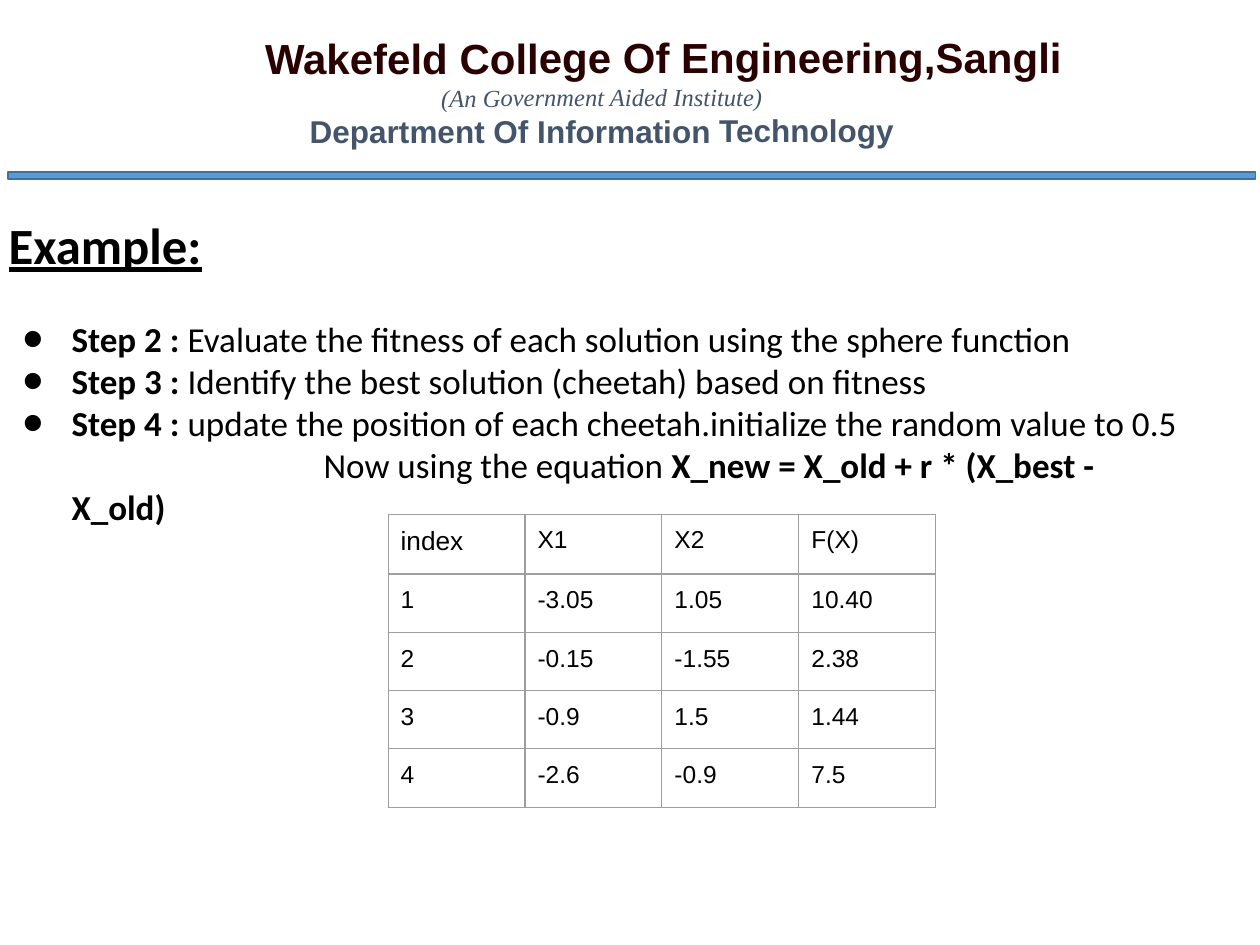
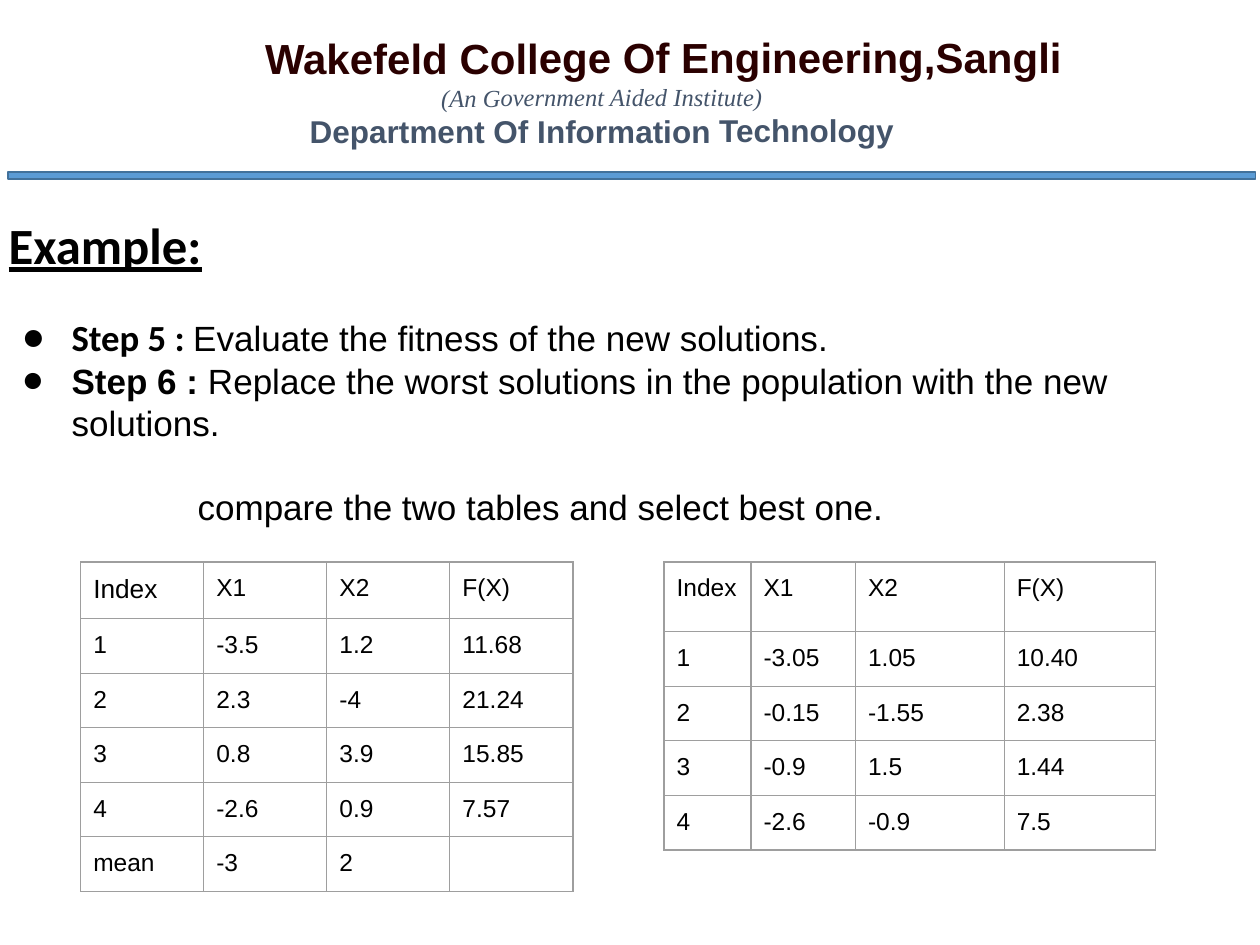
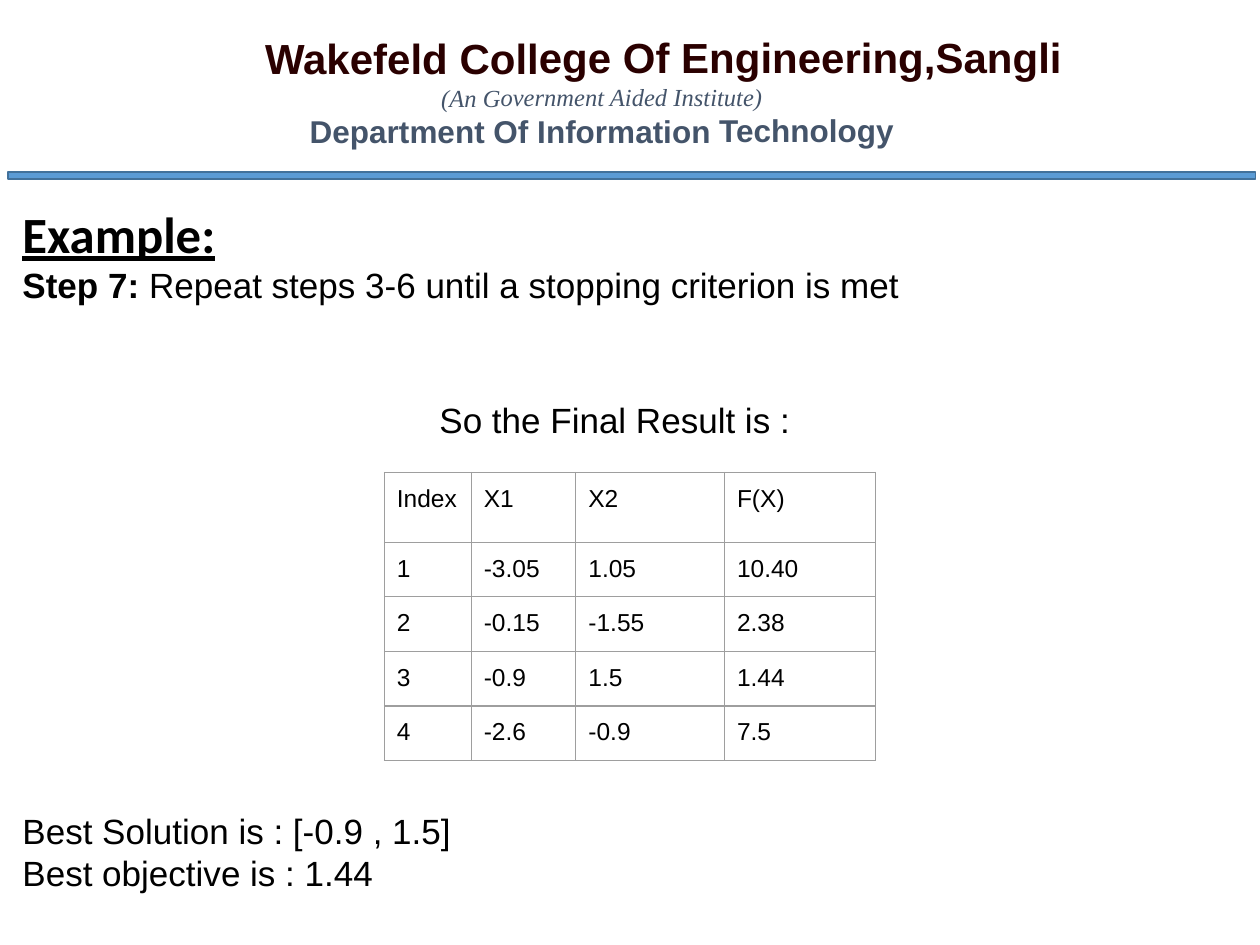
from dataclasses import dataclass, replace

from lxml.etree import SubElement
from pptx import Presentation
from pptx.dml.color import RGBColor
from pptx.enum.shapes import MSO_SHAPE as Preset
from pptx.enum.text import MSO_ANCHOR as Anchor, MSO_AUTO_SIZE as AutoSize, PP_ALIGN as Align
from pptx.oxml.ns import qn
from pptx.util import Inches, Pt

SLIDE_WIDTH, SLIDE_HEIGHT = Inches(10), Inches(7.5)
TITLE_ONLY = 5
BLACK, MAROON, SLATE = "000000", "2A0000", "44546A"
BAND, BAND_EDGE, GRID_LINE = "5B9BD5", "42719B", "9E9E9E"
BODY_LINE = 24


@dataclass(frozen=True)
class Area:
    """A place on a grid of 100 columns by 100 rows."""
    left: float
    top: float
    width: float
    height: float


@dataclass(frozen=True)
class Span:
    text: str
    font: str = "Calibri"
    size: float = 20
    bold: bool = False
    italic: bool = False
    underline: bool = False
    color: str = BLACK


@dataclass(frozen=True)
class Para:
    """Indents are in inches, spacing is in points."""
    spans: tuple[Span, ...]
    margin: float = 0
    indent: float = 0
    before: float = 0
    line: float | None = BODY_LINE
    align: Align = Align.LEFT
    bullet: bool = False


@dataclass(frozen=True)
class Grid:
    """Column widths and row heights are in grid columns and rows."""
    left: float
    top: float
    widths: tuple[float, ...]
    head_height: float
    row_height: float
    rows: tuple[tuple[str, ...], ...]
    corner_size: float = 14


@dataclass(frozen=True)
class Page:
    body: Area
    paras: tuple[Para, ...]
    grids: tuple[Grid, ...]


def columns(count: float) -> int:
    return round(SLIDE_WIDTH * count / 100)


def rows(count: float) -> int:
    return round(SLIDE_HEIGHT * count / 100)


def rgb(code: str) -> RGBColor:
    return RGBColor.from_string(code)


def place(shape, area: Area) -> None:
    shape.left, shape.top = columns(area.left), rows(area.top)
    shape.width, shape.height = columns(area.width), rows(area.height)


def format_run(run, span: Span) -> None:
    font = run.font
    font.name, font.size = span.font, Pt(span.size)
    font.bold, font.italic, font.underline = span.bold, span.italic, span.underline
    font.color.rgb = rgb(span.color)


def add_bullet(properties) -> None:
    color = SubElement(properties, qn("a:buClr"))
    SubElement(color, qn("a:srgbClr"), val=BLACK)
    SubElement(properties, qn("a:buFont"), typeface="Calibri")
    SubElement(properties, qn("a:buChar"), char="●")


def write(frame, paras: tuple[Para, ...]) -> None:
    frame.word_wrap = True
    frame.auto_size = AutoSize.NONE
    frame.text = "\n".join("" for _ in paras)
    for paragraph, para in zip(frame.paragraphs, paras):
        paragraph.alignment = para.align
        paragraph.space_before = Pt(para.before)
        if para.line:
            paragraph.line_spacing = Pt(para.line)
        properties = paragraph._p.get_or_add_pPr()
        properties.set("marL", str(Inches(para.margin)))
        properties.set("indent", str(Inches(para.indent)))
        if para.bullet:
            add_bullet(properties)
        for span in para.spans:
            run = paragraph.add_run()
            run.text = span.text
            format_run(run, span)


def draw_header(slide) -> None:
    title = slide.shapes.title
    place(title, Area(9.6, 2.13, 76.3, 14.93))
    title.rotation = 359.9
    title.text_frame.vertical_anchor = Anchor.MIDDLE
    write(title.text_frame, HEADER)

    band = slide.shapes.add_shape(Preset.MATH_MINUS, 0, 0, 0, 0)
    place(band, Area(-17.2, 16.93, 134.7, 3.33))
    band.adjustments[0] = 0.235
    band.shadow.inherit = False
    band.fill.solid()
    band.fill.fore_color.rgb = rgb(BAND)
    band.line.color.rgb = rgb(BAND_EDGE)
    band.line.width = Pt(1)


def add_borders(cell) -> None:
    properties = cell._tc.get_or_add_tcPr()
    for index, side in enumerate(("a:lnL", "a:lnR", "a:lnT", "a:lnB")):
        line = properties.makeelement(qn(side), {"w": str(Pt(0.75))})
        fill = SubElement(line, qn("a:solidFill"))
        SubElement(fill, qn("a:srgbClr"), val=GRID_LINE)
        properties.insert(index, line)


def fill_cell(cell, text: str, size: float) -> None:
    cell.fill.background()
    cell.margin_left = cell.margin_right = Inches(0.1)
    cell.margin_top = cell.margin_bottom = Inches(0.1)
    add_borders(cell)
    paragraph = cell.text_frame.paragraphs[0]
    if text:
        paragraph.text = text
        format_run(paragraph.runs[0], Span(text, "Arial", size))
    else:
        SubElement(paragraph._p, qn("a:endParaRPr"), sz=str(round(size * 100)))


def draw_grid(slide, grid: Grid) -> None:
    heights = [grid.head_height] + [grid.row_height] * (len(grid.rows) - 1)
    table = slide.shapes.add_table(
        len(heights), len(grid.widths), columns(grid.left), rows(grid.top),
        columns(sum(grid.widths)), rows(sum(heights))).table
    table.first_row = table.horz_banding = False
    for column, width in zip(table.columns, grid.widths):
        column.width = columns(width)
    for row, height, texts in zip(table.rows, heights, grid.rows):
        row.height = rows(height)
        for cell, text in zip(row.cells, texts):
            fill_cell(cell, text, 14)
    corner = table.cell(0, 0).text_frame.paragraphs[0].runs[0]
    corner.font.size = Pt(grid.corner_size)


def draw_page(deck, page: Page) -> None:
    slide = deck.slides.add_slide(deck.slide_layouts[TITLE_ONLY])
    draw_header(slide)
    box = slide.shapes.add_textbox(0, 0, 0, 0)
    place(box, page.body)
    write(box.text_frame, page.paras)
    for grid in page.grids:
        draw_grid(slide, grid)


def step(label: str, text: str, font: str = "Calibri", before: float = 0) -> Para:
    spans = Span(label, font, bold=True), Span(text, font)
    return Para(spans, margin=0.5, indent=-0.39, before=before, bullet=True)


def arial(text: str, **layout) -> Para:
    return Para((Span(text, "Arial"),), **layout)


HEADER = (
    Para((Span("Wakefeld College Of Engineering,Sangli", "Arial", 24, bold=True, color=MAROON),),
         margin=0.98, line=None, align=Align.CENTER),
    Para((Span("(An Government Aided Institute)", "Times New Roman", 14, italic=True, color=SLATE),),
         line=None, align=Align.CENTER),
    Para((Span("Department Of Information Technology", "Arial", 18, bold=True, color=SLATE),),
         line=None, align=Align.CENTER),
)
HEADING = Para((Span("Example:", size=29, bold=True, underline=True),), line=None)

NEW_ROWS = (
    ("1", "-3.05", "1.05", "10.40"),
    ("2", "-0.15", "-1.55", "2.38"),
    ("3", "-0.9", "1.5", "1.44"),
    ("4", "-2.6", "-0.9", "7.5"),
)
OLD_ROWS = (
    ("Index", "X1", "X2", "F(X)"),
    ("1", "-3.5", "1.2", "11.68"),
    ("2", "2.3", "-4", "21.24"),
    ("3", "0.8", "3.9", "15.85"),
    ("4", "-2.6", "0.9", "7.57"),
    ("mean", "-3", "2", ""),
)
UPDATED = Grid(30.8, 54.4, (10.87,) * 4, 6.35, 6.17,
               (("index", "X1", "X2", "F(X)"),) + NEW_ROWS, corner_size=15)
INITIAL = Grid(6.4, 59.47, (9.77,) * 4, 6, 5.77, OLD_ROWS, corner_size=15)
COMPARED = Grid(52.7, 59.47, (6.9, 8.3, 11.8, 12), 7.4, 5.77, OLD_ROWS[:1] + NEW_ROWS)
FINAL = replace(COMPARED, left=30.5, top=50)

PAGES = (
    Page(Area(-0.3, 22, 96, 52.8), (
        HEADING,
        step("Step 2 : ", "Evaluate the fitness of each solution using the sphere function",
             before=BODY_LINE),
        step("Step 3 : ", "Identify the best solution (cheetah) based on fitness"),
        step("Step 4 : ", "update the position of each cheetah.initialize the random value to 0.5"),
        Para((Span("Now using the equation "),
              Span("X_new = X_old + r * (X_best - X_old)", bold=True)), margin=0.5, indent=2),
    ), (UPDATED,)),
    Page(Area(-0.3, 22, 96, 76), (
        HEADING,
        Para((Span("Step 5 : ", size=21, bold=True),
              Span("Evaluate the fitness of the new solutions.", "Arial")),
             margin=0.5, indent=-0.39, before=BODY_LINE, bullet=True),
        step("Step 6 : ", "Replace the worst solutions in the population with the new solutions.",
             "Arial"),
        arial("compare the two tables and select best one.",
              margin=1, indent=0.5, before=BODY_LINE),
    ), (INITIAL, COMPARED)),
    Page(Area(0.8, 20.8, 96, 75.2), (
        HEADING,
        Para((Span("Step 7: ", "Arial", bold=True),
              Span("Repeat steps 3-6 until a stopping criterion is met", "Arial"))),
        arial("So the Final Result is :", before=53, align=Align.CENTER),
        arial("Best Solution is : [-0.9 , 1.5]", before=211),
        arial("Best objective is : 1.44"),
    ), (FINAL,)),
)


def main() -> None:
    deck = Presentation()
    deck.slide_width, deck.slide_height = SLIDE_WIDTH, SLIDE_HEIGHT
    for page in PAGES:
        draw_page(deck, page)
    deck.save("out.pptx")


if __name__ == "__main__":
    main()
